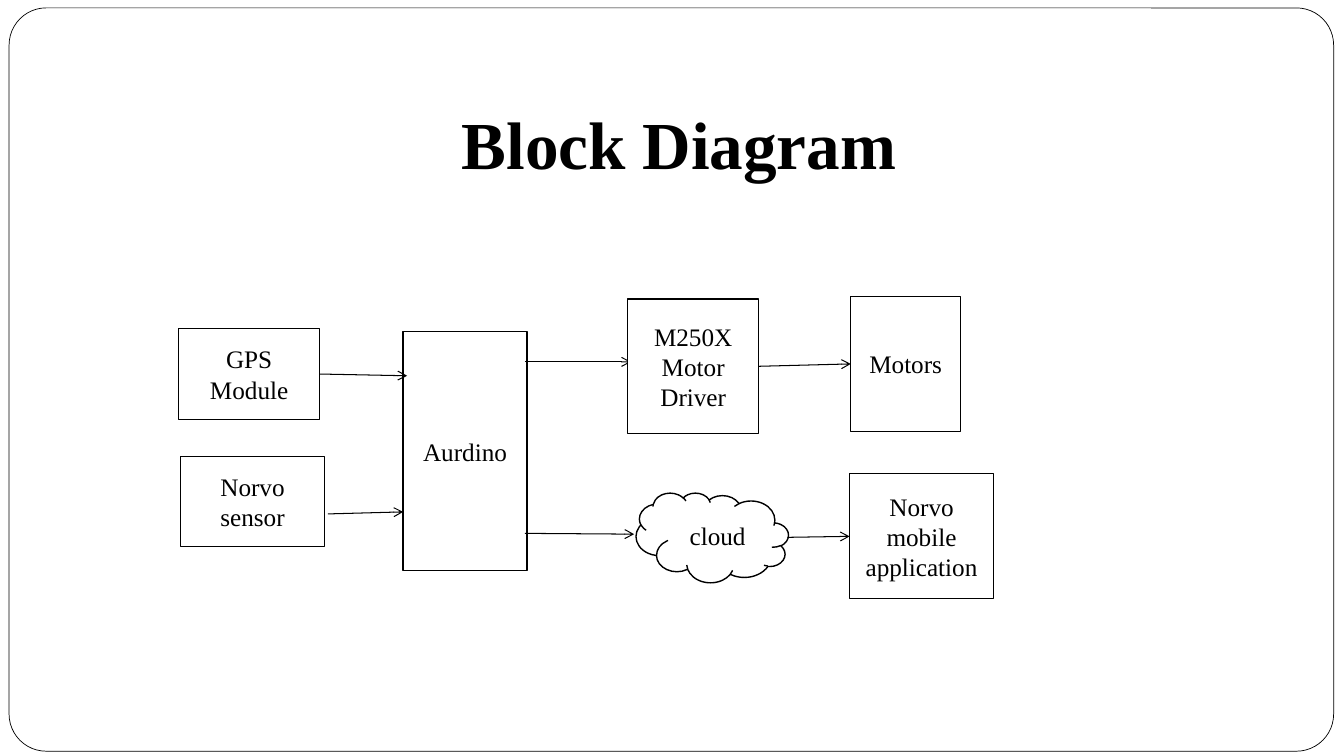
from lxml.etree import SubElement
from pptx import Presentation
from pptx.dml.color import RGBColor
from pptx.enum.shapes import MSO_CONNECTOR, MSO_SHAPE
from pptx.enum.text import MSO_ANCHOR as Anchor, PP_ALIGN as Align
from pptx.oxml.ns import qn
from pptx.util import Cm, Pt

BLACK = RGBColor(0, 0, 0)
WHITE = RGBColor(255, 255, 255)
FONT = "Times New Roman"
LEFT_SIDE, RIGHT_SIDE = 1, 3


def format_text(paragraph, size, bold=False):
    """Give every run of the paragraph the slide's font."""
    for run in paragraph.runs:
        run.font.name = FONT
        run.font.size = Pt(size)
        run.font.bold = bold
        run.font.color.rgb = BLACK


def add_outline(slide, preset, left, top, width, height, line_width):
    """Add a white preset shape with a black outline."""
    shape = slide.shapes.add_shape(preset, Cm(left), Cm(top), Cm(width), Cm(height))
    shape.shadow.inherit = False
    shape.fill.solid()
    shape.fill.fore_color.rgb = WHITE
    shape.line.color.rgb = BLACK
    shape.line.width = Pt(line_width)
    return shape


def add_arrow(slide, start, end, source=None, target=None):
    """Add an arrow, joined to the facing sides of any blocks given."""
    points = [Cm(length) for length in (*start, *end)]
    arrow = slide.shapes.add_connector(MSO_CONNECTOR.STRAIGHT, *points)
    if source:
        arrow.begin_connect(source, RIGHT_SIDE)
    if target:
        arrow.end_connect(target, LEFT_SIDE)
    arrow.line.color.rgb = BLACK
    arrow.line.width = Pt(0.75)
    SubElement(arrow.line._get_or_add_ln(), qn("a:tailEnd"), type="arrow")
    SubElement(arrow._element.spPr, qn("a:effectLst"))


def add_frame(slide, left, top, width, height):
    """Draw the rounded frame around the slide."""
    frame = add_outline(slide, MSO_SHAPE.ROUNDED_RECTANGLE, left, top, width, height, 0.5)
    frame.adjustments[0] = 0.05


def add_title(slide, left, top, width, height):
    """Place the indented heading at the bottom of its box."""
    title = slide.shapes.add_textbox(Cm(left), Cm(top), Cm(width), Cm(height))
    text_frame = title.text_frame
    text_frame.word_wrap = True
    text_frame.vertical_anchor = Anchor.BOTTOM
    text_frame.margin_bottom = Cm(0.25)
    text_frame.text = "Block Diagram"
    paragraph = text_frame.paragraphs[0]
    paragraph._p.get_or_add_pPr().set("marL", str(Cm(8)))
    format_text(paragraph, 48, bold=True)


def add_diagram(slide, left, top):
    """Draw the blocks and the arrows from the given corner."""

    def block(text, x, y, width, height, preset=MSO_SHAPE.RECTANGLE):
        """Add one labelled block."""
        shape = add_outline(slide, preset, left + x, top + y, width, height, 1)
        text_frame = shape.text_frame
        text_frame.word_wrap = True
        text_frame.vertical_anchor = Anchor.MIDDLE
        text_frame.text = text
        paragraph = text_frame.paragraphs[0]
        paragraph.alignment = Align.CENTER
        format_text(paragraph, 18)
        return shape

    def arrow(start=(0, 0), end=(0, 0), source=None, target=None):
        """Add one arrow between points or blocks."""
        start, end = [(left + x, top + y) for x, y in (start, end)]
        add_arrow(slide, start, end, source, target)

    block("Aurdino", 5.66, 0.89, 3.12, 6.02)
    arrow((8.73, 1.65), (11.4, 1.65))
    driver = block("M250X Motor Driver", 11.32, 0.07, 3.3, 3.38)
    motors = block("Motors", 16.94, 0, 2.77, 3.4)
    arrow(source=driver, target=motors)

    arrow((8.73, 5.97), (11.48, 5.99))
    cloud = block("cloud", 11.53, 4.95, 3.84, 2.26, MSO_SHAPE.CLOUD)
    cloud._element.spPr.find(qn("a:xfrm")).set("flipH", "1")
    application = block("Norvo mobile application", 16.91, 4.47, 3.63, 3.15)
    arrow(start=(15.34, 6.07), target=application)

    gps = block("GPS Module", 0, 0.81, 3.56, 2.29)
    arrow(end=(5.76, 2), source=gps)
    block("Norvo sensor", 0.05, 4.04, 3.63, 2.26)
    arrow((3.76, 5.48), (5.66, 5.43))


def main():
    """Build and save the block diagram slide."""
    presentation = Presentation()
    presentation.slide_width = Cm(33.87)
    presentation.slide_height = Cm(19.05)
    slide = presentation.slides.add_slide(presentation.slide_layouts[6])
    add_frame(slide, 0.23, 0.2, 33.38, 18.73)
    add_title(slide, 3.39, 0.76, 28.78, 4.09)
    add_diagram(slide, 4.5, 7.47)
    presentation.save("out.pptx")


if __name__ == "__main__":
    main()
